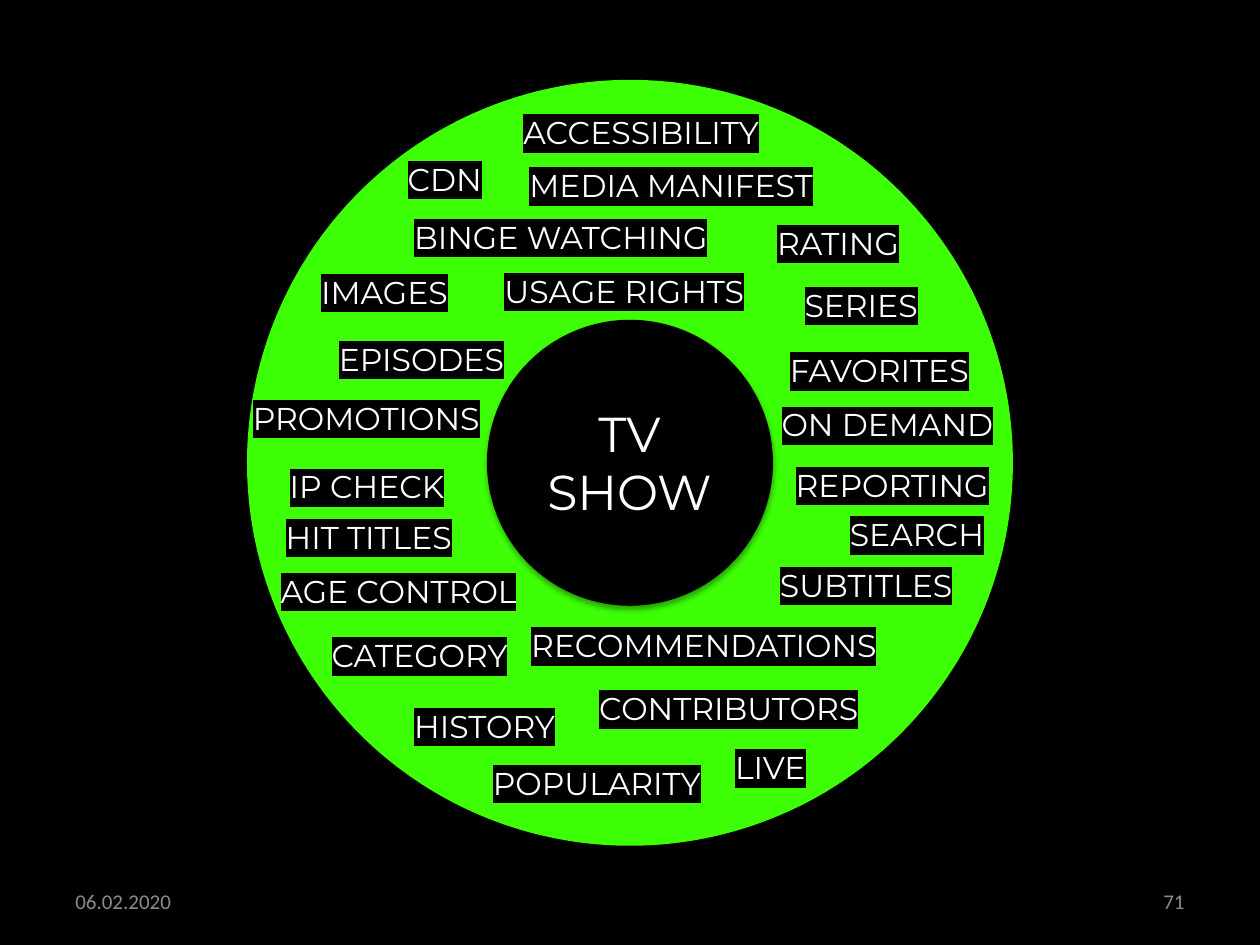
from lxml import etree
from pptx import Presentation
from pptx import util as u
from pptx.dml.color import RGBColor
from pptx.enum import shapes, text
from pptx.oxml import ns

THEME = {
    "dark": "000000", "ring": "3DFF06", "light": "FFFFFF", "foot": "8C8C8C",
    "face": "Montserrat", "foot_face": "Calibri",
    "tag_size": 18, "hub_size": 28, "foot_size": 12,
}
LEFT, MID, RIGHT = text.PP_ALIGN.LEFT, text.PP_ALIGN.CENTER, text.PP_ALIGN.RIGHT

# Lengths in cm: label, left, top, width
TAGS = {
    MID: [
        ("ACCESSIBILITY", 10.08, 2.16, 5.69),
        ("CDN", 7.95, 3.1, 2.03),
        ("MEDIA MANIFEST", 10.24, 3.23, 6.58),
        ("BINGE WATCHING", 7.9, 4.27, 6.81),
        ("RATING", 15.32, 4.39, 3.15),
        ("USAGE RIGHTS", 9.78, 5.36, 5.61),
        ("IMAGES", 6.15, 5.38, 3.2),
        ("SERIES", 15.9, 5.64, 2.92),
        ("EPISODES", 6.5, 6.73, 3.99),
        ("FAVORITES", 15.49, 6.96, 4.47),
        ("ON DEMAND", 15.44, 8.05, 4.9),
        ("REPORTING", 15.7, 9.27, 4.57),
        ("IP CHECK", 5.51, 9.3, 3.78),
        ("SEARCH", 16.81, 10.26, 3.35),
        ("AGE CONTROL", 5.28, 11.4, 5.51),
        ("CATEGORY", 6.3, 12.7, 4.32),
        ("CONTRIBUTORS", 11.68, 13.77, 6.02),
        ("LIVE", 14.5, 14.96, 2.06),
        ("POPULARITY", 9.53, 15.27, 5),
    ],
    LEFT: [
        ("PROMOTIONS", 4.85, 7.92, 5.28),
        ("HIT TITLES", 5.51, 10.31, 4.17),
        ("RECOMMENDATIONS", 10.46, 12.5, 7.77),
        ("HISTORY", 8.1, 14.12, 3.56),
    ],
    RIGHT: [("SUBTITLES", 15.21, 11.28, 4.24)],
}
FOOT = [("06.02.2020", 1.27, LEFT), ("71", 18.21, RIGHT)]
HUB = "TV\nSHOW"
CENTRE = 12.7, 9.33
RING_SIZE, HUB_SIZE = 15.44, 5.74
TAG_TALL = 1.02


def paint(fill, name):
    fill.solid()
    fill.fore_color.rgb = RGBColor.from_string(THEME[name])


def node(parent, tag, **attrs):
    return etree.SubElement(parent, ns.qn(tag), attrs)


def add_disc(slide, size, name):
    """Draw a disc around the shared centre with a soft shadow below it."""
    x, y = (u.Cm(mid - size / 2) for mid in CENTRE)
    disc = slide.shapes.add_shape(
        shapes.MSO_SHAPE.OVAL, x, y, u.Cm(size), u.Cm(size))
    paint(disc.fill, name)
    disc.line.fill.background()
    disc.shadow.inherit = False
    glow = node(disc.element.spPr.find(ns.qn("a:effectLst")), "a:outerShdw",
                blurRad="40000", dist="23000", dir="5400000", rotWithShape="0")
    shade = node(glow, "a:srgbClr", val=THEME["dark"])
    node(shade, "a:alpha", val="35000")
    return disc


def add_text(slide, words, place, align, size, face="face", ink="light"):
    box = slide.shapes.add_textbox(*(u.Cm(n) for n in place))
    frame = box.text_frame
    frame.text = words
    for para in frame.paragraphs:
        para.alignment = align
        for run in para.runs:
            run.font.size = u.Pt(THEME[size])
            run.font.name = THEME[face]
            paint(run.font.fill, ink)
    return frame


def fit(frame):
    frame.word_wrap = False
    frame.auto_size = text.MSO_AUTO_SIZE.SHAPE_TO_FIT_TEXT


def mark(run):
    """Put a dark highlight behind the run, right after its fill."""
    band = etree.Element(ns.qn("a:highlight"))
    node(band, "a:srgbClr", val=THEME["dark"])
    run.font.fill  # the fill element already exists
    run._r.rPr.find(ns.qn("a:solidFill")).addnext(band)


def main():
    deck = Presentation()
    deck.slide_width, deck.slide_height = u.Cm(25.4), u.Cm(19.05)
    slide = deck.slides.add_slide(deck.slide_layouts[6])
    paint(slide.background.fill, "dark")

    add_disc(slide, RING_SIZE, "ring")
    for words, x, align in FOOT:
        frame = add_text(slide, words, (x, 17.65, 5.92, 1.02), align,
                         "foot_size", "foot_face", "foot")
        frame.word_wrap = True
        frame.vertical_anchor = text.MSO_ANCHOR.MIDDLE

    for align, tags in TAGS.items():
        for words, x, y, wide in tags:
            frame = add_text(slide, words, (x, y, wide, TAG_TALL), align,
                             "tag_size")
            fit(frame)
            mark(frame.paragraphs[0].runs[0])

    hub = add_disc(slide, HUB_SIZE, "dark")
    paint(hub.line.fill, "dark")
    hub.line.width = u.Pt(0.75)
    fit(add_text(slide, HUB, (10.67, 8, 4.04, 2.64), MID, "hub_size"))

    deck.save("out.pptx")


if __name__ == "__main__":
    main()
